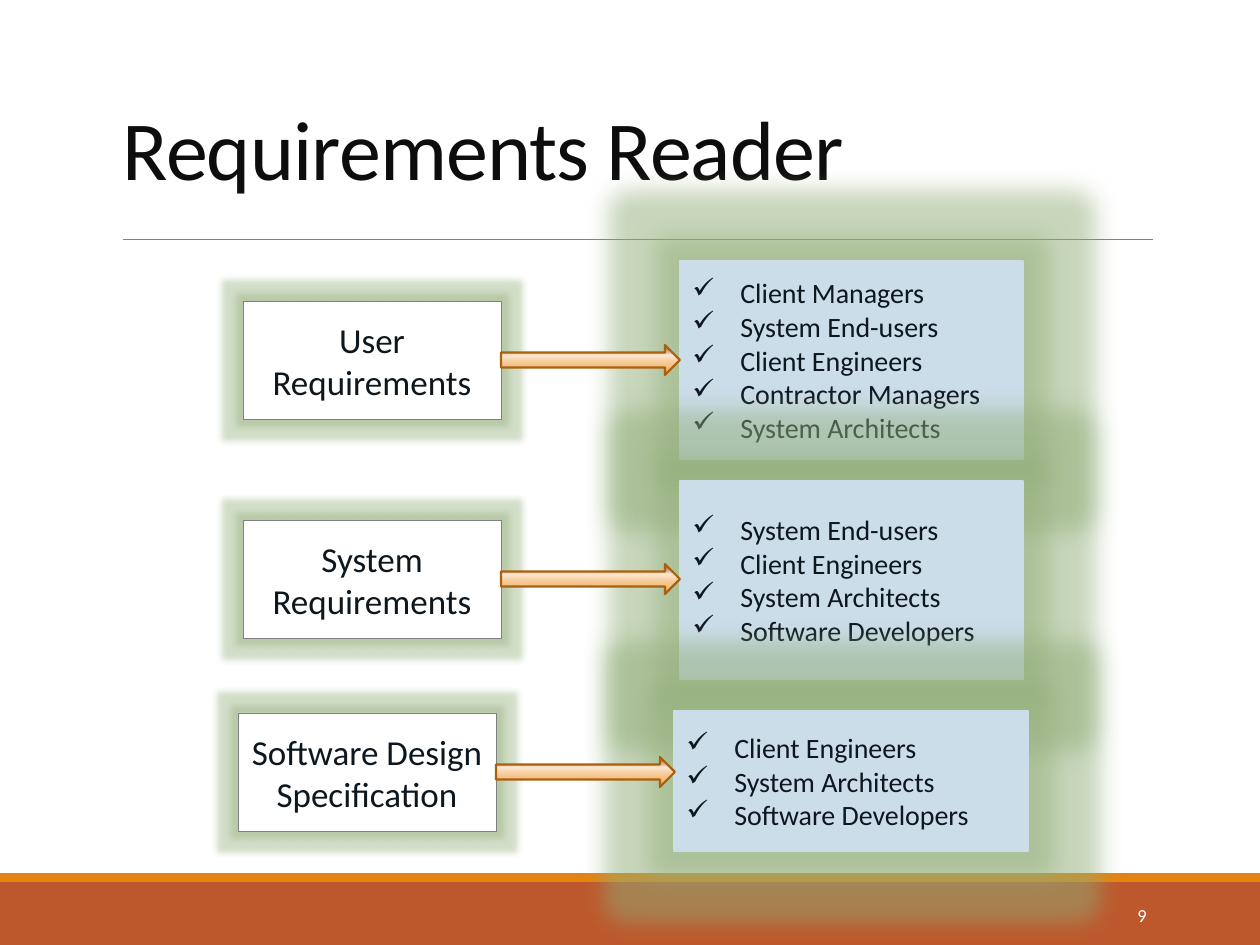
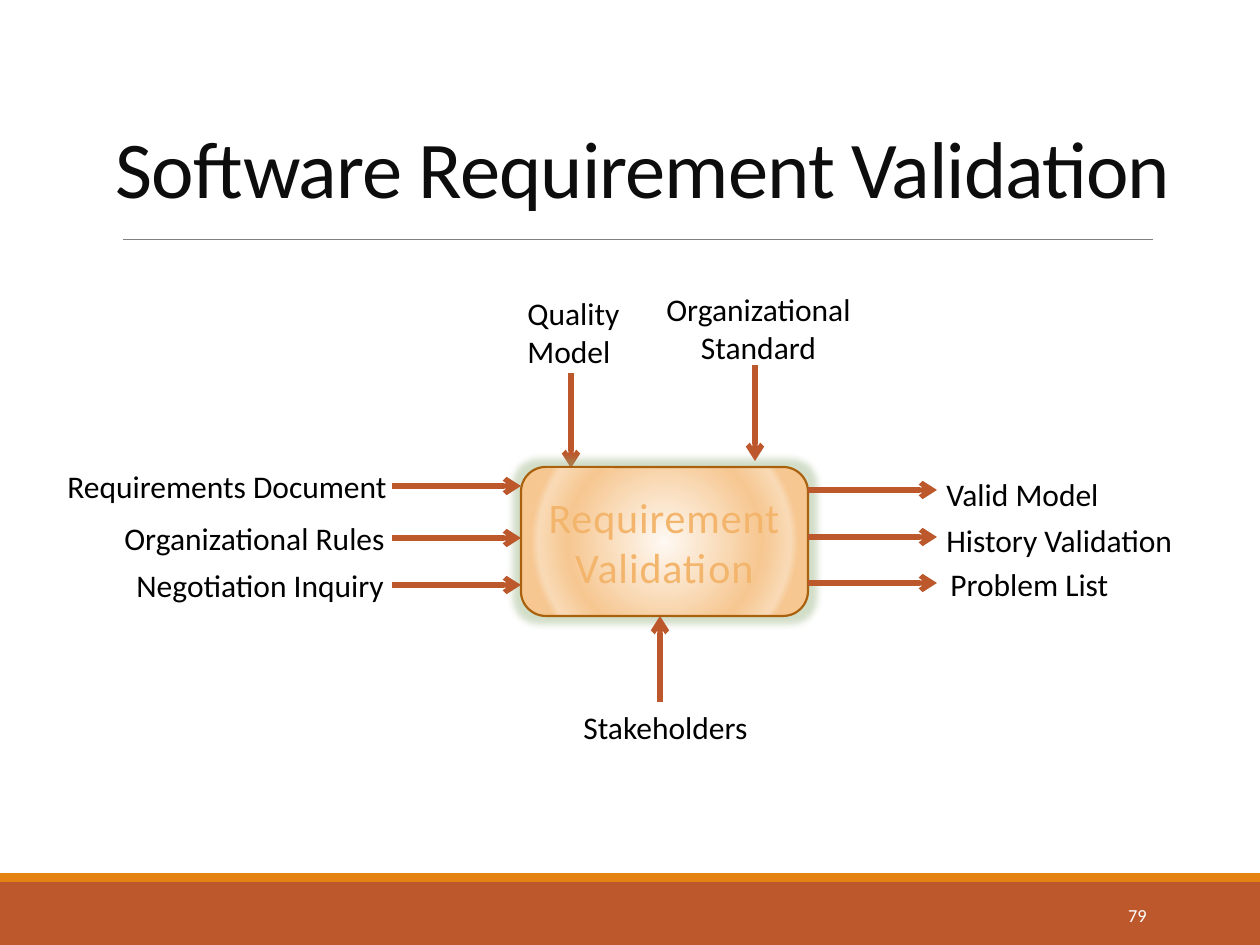
from dataclasses import dataclass

from pptx import Presentation
from pptx.dml.color import RGBColor
from pptx.enum.shapes import MSO_CONNECTOR, MSO_SHAPE
from pptx.enum.text import MSO_ANCHOR, PP_ALIGN
from pptx.oxml import parse_xml
from pptx.oxml.ns import nsdecls, qn
from pptx.util import Pt

RECTANGLE = MSO_SHAPE.RECTANGLE
ROUNDED = MSO_SHAPE.ROUNDED_RECTANGLE
RIGHT_ARROW = MSO_SHAPE.RIGHT_ARROW
STRAIGHT = MSO_CONNECTOR.STRAIGHT
LEFT, CENTER, RIGHT = PP_ALIGN.LEFT, PP_ALIGN.CENTER, PP_ALIGN.RIGHT
TOP, MIDDLE = MSO_ANCHOR.TOP, MSO_ANCHOR.MIDDLE

EMU_PER_PX = 914400 / 126
SLIDE_WIDTH, SLIDE_HEIGHT = 1260, 945


@dataclass(frozen=True)
class Theme:
    font: str = "Calibri"
    rust: str = "BD582C"
    orange: str = "E48312"
    bronze: str = "A9610D"
    peach: str = "F3B56C"
    blue: str = "CCDDEA"
    navy: str = "0D171F"
    title: str = "0D0D0D"
    rule: str = "808080"
    glow: str = "91AD78"
    white: str = "FFFFFF"
    black: str = "000000"
    number_size: float = 10.5
    reader_size: int = 16
    label_size: int = 18
    document_size: int = 20
    process_size: int = 24
    outline: float = 1.25
    arrow: int = 3


THEME = Theme()
ARROW_STOPS = [(0, "8E4221"), (34, "FBE6CE"), (61, "F6C791"), (85, "F3B56C")]
PROCESS_STOPS = [(0, "FEF9F3"), (60, "F6C791"), (78, "F9DAB6"), (83, "F6C791")]
DOWNWARD = '<a:lin ang="5400000" scaled="0"/>'
FROM_CENTER = ('<a:path path="circle"><a:fillToRect l="50000" t="50000" '
               'r="50000" b="50000"/></a:path>')

# Slide 1: document, its box, its readers, their box
DOCUMENT_SIZE = (258, 118)
ARROW_SIZE = (179, 30)
READER_ROWS = [
    ("User Requirements", (243, 301),
     ["Client Managers", "System End-users", "Client Engineers",
      "Contractor Managers", "System Architects"], (680, 261, 343, 198)),
    ("System Requirements", (243, 520),
     ["System End-users", "Client Engineers", "System Architects",
      "Software Developers"], (680, 481, 343, 198)),
    ("Software Design Specification", (238, 713),
     ["Client Engineers", "System Architects", "Software Developers"],
     (674, 711, 354, 140)),
]

# Slide 2: label, its box, alignment
PROCESS_BOX = (521, 467, 287, 149)
FLOW_LABELS = [
    ("Requirements Document", (55, 461, 407, 50), LEFT),
    ("Organizational Rules", (112, 513, 407, 50), LEFT),
    ("Negotiation Inquiry", (124, 560, 407, 50), LEFT),
    ("Valid Model", (934, 469, 189, 50), LEFT),
    ("History Validation", (934, 515, 277, 50), LEFT),
    ("Problem List", (938, 559, 277, 50), LEFT),
    ("Quality\nModel", (515, 288, 126, 89), LEFT),
    ("Organizational Standard", (649, 284, 219, 89), CENTER),
    ("Stakeholders", (571, 702, 212, 50), LEFT),
]
INPUT_HEIGHTS = [486, 538, 585]
OUTPUT_HEIGHTS = [490, 537, 583]
FLOW_LENGTH = 129


def px(length):
    return round(length * EMU_PER_PX)


def color(value):
    return RGBColor.from_string(value)


def write_text(shape, text, size, ink, align=LEFT, anchor=MIDDLE, inset=None,
               spacing=None, bullet=None, line_spacing=None, before=None):
    """Fill a shape with one paragraph for each line of the text."""
    frame = shape.text_frame
    frame.word_wrap = True
    frame.vertical_anchor = anchor
    if inset is not None:
        frame.margin_left = frame.margin_right = px(inset)
    for index, line in enumerate(text.split("\n")):
        paragraph = frame.add_paragraph() if index else frame.paragraphs[0]
        paragraph.alignment = align
        if line_spacing:
            paragraph.line_spacing = line_spacing
        if before:
            paragraph.space_before = Pt(before)
        run = paragraph.add_run()
        run.text = line
        run.font.name, run.font.size = THEME.font, Pt(size)
        run.font.color.rgb = color(ink)
    if bullet:
        for properties in shape.element.iter(qn("a:pPr")):
            properties.set("marL", str(px(48)))
            properties.set("indent", str(px(-48)))
            properties.append(parse_xml(
                f'<a:buChar {nsdecls("a")} char="{bullet}"/>'))
    if spacing:
        for properties in shape.element.iter(qn("a:rPr")):
            properties.set("spc", str(round(spacing * 100)))


def add_text(slide, box, text, **text_format):
    shape = slide.shapes.add_textbox(*map(px, box))
    write_text(shape, text, **text_format)
    return shape


def add_box(slide, kind, box, fill, line=None, width=THEME.outline, glow=None):
    """Add a preset shape; glow is a radius in points and an opacity in %."""
    shape = slide.shapes.add_shape(kind, *map(px, box))
    shape.shadow.inherit = False
    shape.fill.solid()
    shape.fill.fore_color.rgb = color(fill)
    if line:
        shape.line.color.rgb = color(line)
        shape.line.width = Pt(width)
    else:
        shape.line.fill.background()
    if glow:
        radius, opacity = glow
        shape.element.spPr.find(qn("a:effectLst")).append(parse_xml(
            f'<a:glow {nsdecls("a")} rad="{Pt(radius)}">'
            f'<a:srgbClr val="{THEME.glow}"><a:alpha val="{opacity * 1000}"/>'
            '</a:srgbClr></a:glow>'))
    return shape


def set_gradient(shape, stops, direction):
    stop_list = "".join(
        f'<a:gs pos="{position * 1000}"><a:srgbClr val="{value}"/></a:gs>'
        for position, value in stops)
    properties = shape.element.spPr
    properties.replace(properties.find(qn("a:solidFill")), parse_xml(
        f'<a:gradFill {nsdecls("a")} rotWithShape="1">'
        f'<a:gsLst>{stop_list}</a:gsLst>{direction}</a:gradFill>'))


def add_line(slide, start, end, ink=THEME.rust, width=THEME.arrow, arrow=True):
    line = slide.shapes.add_connector(STRAIGHT, *map(px, start + end))
    line.line.color.rgb = color(ink)
    line.line.width = Pt(width)
    properties = line.element.spPr
    properties.append(parse_xml(f'<a:effectLst {nsdecls("a")}/>'))
    if arrow:
        properties.find(qn("a:ln")).append(parse_xml(
            f'<a:tailEnd {nsdecls("a")} type="arrow"/>'))


def add_framed_slide(presentation, title, title_box, title_size, number):
    """Add a slide with the title, rule, bottom bands and slide number."""
    slide = presentation.slides.add_slide(presentation.slide_layouts[6])
    add_box(slide, RECTANGLE, (0, 882, SLIDE_WIDTH, 63), THEME.rust)
    add_box(slide, RECTANGLE, (0, 873, SLIDE_WIDTH, 9), THEME.orange)
    add_line(slide, (123, 239), (1153, 239), THEME.rule, 0.5, arrow=False)
    add_text(slide, title_box, title, size=title_size, ink=THEME.title,
             inset=3, spacing=-0.5, line_spacing=0.85, before=10)
    add_text(slide, (1023, 890, 136, 50), str(number), align=RIGHT,
             size=THEME.number_size, ink=THEME.white)
    return slide


def build_readers(presentation):
    slide = add_framed_slide(presentation, "Requirements Reader",
                             (120, 76, 1071, 158), 48, 9)
    document_width, document_height = DOCUMENT_SIZE
    arrow_width, arrow_height = ARROW_SIZE
    for document, corner, _, _ in READER_ROWS:
        shape = add_box(slide, RECTANGLE, corner + DOCUMENT_SIZE, THEME.white,
                        THEME.rule, 0.25, glow=(8, 40))
        write_text(shape, document, size=THEME.document_size, ink=THEME.navy,
                   align=CENTER)
    for _, _, readers, box in READER_ROWS:
        shape = add_box(slide, RECTANGLE, box, THEME.blue, THEME.blue,
                        glow=(27, 50))
        write_text(shape, "\n".join(readers), size=THEME.reader_size,
                   ink=THEME.navy, bullet="✓")
    for _, (left, top), _, _ in READER_ROWS:
        arrow_top = top + (document_height - arrow_height) // 2
        arrow = add_box(slide, RIGHT_ARROW,
                        (left + document_width, arrow_top,
                         arrow_width, arrow_height),
                        THEME.peach, THEME.bronze)
        set_gradient(arrow, ARROW_STOPS, DOWNWARD)


def build_validation(presentation):
    slide = add_framed_slide(presentation, "Software Requirement Validation",
                             (113, 86, 1111, 175), 46, 79)
    left, top, width, height = PROCESS_BOX
    right, bottom = left + width, top + height

    add_line(slide, (571, 373), (571, top + 1))
    process = add_box(slide, ROUNDED, PROCESS_BOX, THEME.peach, THEME.bronze,
                      glow=(8, 40))
    set_gradient(process, PROCESS_STOPS, FROM_CENTER)
    write_text(process, "Requirement Validation", size=THEME.process_size,
               ink=THEME.peach, align=CENTER, spacing=0.5)
    for properties in process.element.iter(qn("a:rPr")):
        properties.insert(0, parse_xml(
            f'<a:ln {nsdecls("a")} w="{Pt(0.75)}"><a:solidFill>'
            f'<a:srgbClr val="{THEME.orange}"/></a:solidFill></a:ln>'))

    add_line(slide, (660, 702), (660, bottom))
    add_line(slide, (755, 365), (755, 461))
    for y in INPUT_HEIGHTS:
        add_line(slide, (left - FLOW_LENGTH, y), (left, y))
    for y in OUTPUT_HEIGHTS:
        add_line(slide, (right, y), (right + FLOW_LENGTH, y))
    for label, box, align in FLOW_LABELS:
        add_text(slide, box, label, size=THEME.label_size, ink=THEME.black,
                 align=align, anchor=TOP)


def main():
    presentation = Presentation()
    presentation.slide_width = px(SLIDE_WIDTH)
    presentation.slide_height = px(SLIDE_HEIGHT)
    build_readers(presentation)
    build_validation(presentation)
    presentation.save("out.pptx")


if __name__ == "__main__":
    main()
